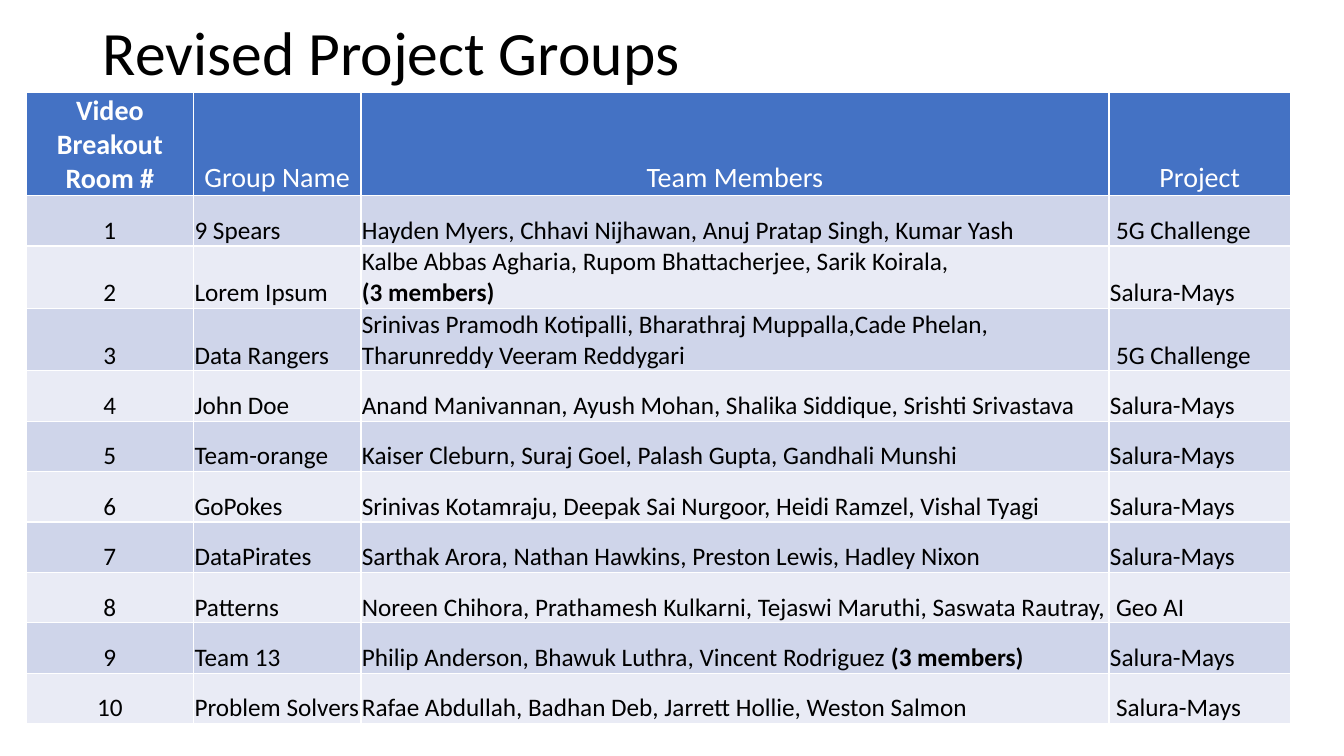
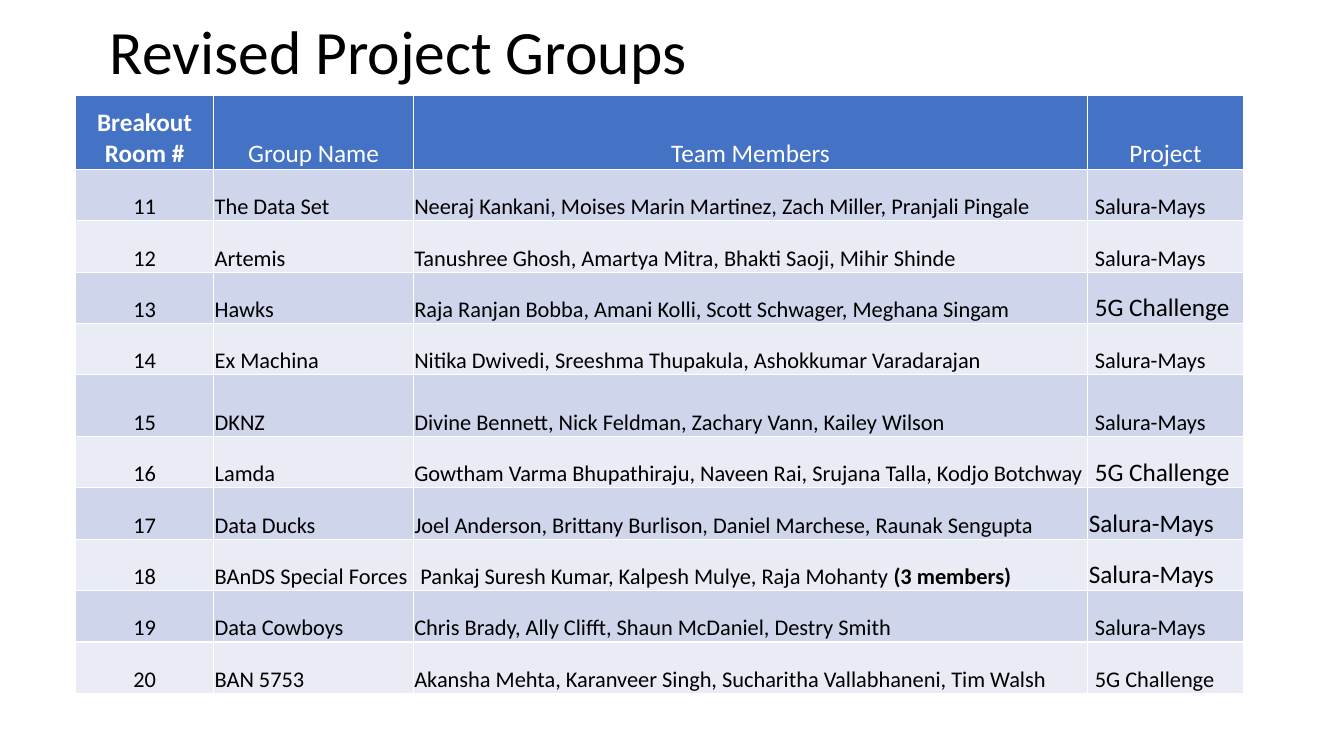
"""Build two slides that list the revised project groups in tables."""
from dataclasses import dataclass

from pptx import Presentation
from pptx.dml.color import RGBColor
from pptx.enum.text import MSO_ANCHOR, PP_ALIGN
from pptx.util import Inches, Pt


@dataclass(frozen=True)
class Theme:
    font: str = "Calibri"
    ink: str = "000000"
    header_ink: str = "FFFFFF"
    header_fill: str = "4472C4"
    bands: tuple = ("CFD5EA", "E9EBF5")
    title_size: int = 44
    large_size: int = 18
    margin: float = 0.01
    indent: float = 0.07


THEME = Theme()
TITLE = "Revised Project Groups"
HEADINGS = ["Group Name", "Team Members", "Project"]
NOTE = "(3 members)"
MAYS, FIVE_G, GEO = "Salura-Mays", "5G Challenge", "Geo AI"
MEMBERS_COL, PROJECT_COL = 2, 3

SLIDES = [
    dict(
        title_at=(0.92, 0, 11.5, 1.1),
        table_at=(0.26, 0.92),
        cols=[1.66, 1.66, 7.42, 1.8],
        header_height=1.02, row_height=0.5, tall_rows={2: 0.62, 3: 0.62},
        header_size=20, body_size=18,
        room_heading="Video Breakout Room #",
        first_room=1,
        indented={(room, PROJECT_COL) for room in (1, 3, 8, 10)},
        large_projects=set(),
        groups=[
            ("9 Spears", "Hayden Myers, Chhavi Nijhawan, Anuj Pratap Singh, Kumar Yash", FIVE_G),
            ("Lorem Ipsum", "Kalbe Abbas Agharia, Rupom Bhattacherjee, Sarik Koirala,\n(3 members)", MAYS),
            ("Data Rangers", "Srinivas Pramodh Kotipalli, Bharathraj Muppalla,Cade Phelan, "
                             "Tharunreddy Veeram Reddygari", FIVE_G),
            ("John Doe", "Anand Manivannan, Ayush Mohan, Shalika Siddique, Srishti Srivastava", MAYS),
            ("Team-orange", "Kaiser Cleburn, Suraj Goel, Palash Gupta, Gandhali Munshi", MAYS),
            ("GoPokes", "Srinivas Kotamraju, Deepak Sai Nurgoor, Heidi Ramzel, Vishal Tyagi", MAYS),
            ("DataPirates", "Sarthak Arora, Nathan Hawkins, Preston Lewis, Hadley Nixon", MAYS),
            ("Patterns", "Noreen Chihora, Prathamesh Kulkarni, Tejaswi Maruthi, Saswata Rautray,", GEO),
            ("Team 13", "Philip Anderson, Bhawuk Luthra, Vincent Rodriguez (3 members)", MAYS),
            ("Problem Solvers", "Rafae Abdullah, Badhan Deb, Jarrett Hollie, Weston Salmon", MAYS),
        ],
    ),
    dict(
        title_at=(0.99, 0, 11.5, 1.08),
        table_at=(0.75, 0.95),
        cols=[1.37, 1.98, 6.69, 1.54],
        header_height=0.73, row_height=0.51, tall_rows={15: 0.61},
        header_size=18, body_size=16,
        room_heading="Breakout\nRoom #",
        first_room=11,
        indented={(room, PROJECT_COL) for room in (11, 12, 13, 14, 15, 16, 19, 20)} | {(18, MEMBERS_COL)},
        large_projects={13, 16, 17, 18},
        groups=[
            ("The Data Set", "Neeraj Kankani, Moises Marin Martinez, Zach Miller, Pranjali Pingale", MAYS),
            ("Artemis", "Tanushree Ghosh, Amartya Mitra, Bhakti Saoji, Mihir Shinde", MAYS),
            ("Hawks", "Raja Ranjan Bobba, Amani Kolli, Scott Schwager, Meghana Singam", FIVE_G),
            ("Ex Machina", "Nitika Dwivedi, Sreeshma Thupakula, Ashokkumar Varadarajan", MAYS),
            ("DKNZ", "Divine Bennett, Nick Feldman, Zachary Vann, Kailey Wilson", MAYS),
            ("Lamda", "Gowtham Varma Bhupathiraju, Naveen Rai, Srujana Talla, Kodjo Botchway", FIVE_G),
            ("Data Ducks", "Joel Anderson, Brittany Burlison, Daniel Marchese, Raunak Sengupta", MAYS),
            ("BAnDS Special Forces", "Pankaj Suresh Kumar, Kalpesh Mulye, Raja Mohanty (3 members)", MAYS),
            ("Data Cowboys", "Chris Brady, Ally Clifft, Shaun McDaniel, Destry Smith", MAYS),
            ("BAN 5753", "Akansha Mehta, Karanveer Singh, Sucharitha Vallabhaneni, Tim Walsh", FIVE_G),
        ],
    ),
]


def write(tf, text, *, size, color=THEME.ink, bold=False, align=PP_ALIGN.LEFT, spacing=None):
    """Write one paragraph per line, with the member note in bold."""
    for i, line in enumerate(text.split("\n")):
        p = tf.add_paragraph() if i else tf.paragraphs[0]
        p.alignment = align
        if spacing:
            p.line_spacing = spacing
        before, note, _ = line.partition(NOTE)
        for part in filter(None, (before, note)):
            r = p.add_run()
            r.text = part
            r.font.name = THEME.font
            r.font.size = Pt(size)
            r.font.bold = bold or part == NOTE
            r.font.color.rgb = RGBColor.from_string(color)


def fill_cell(cell, text, fill, indented=False, **style):
    """Fill one table cell and write its text at the bottom."""
    cell.margin_left = Inches(THEME.indent if indented else THEME.margin)
    cell.margin_right = cell.margin_top = Inches(THEME.margin)
    cell.margin_bottom = 0
    cell.vertical_anchor = MSO_ANCHOR.BOTTOM
    cell.fill.solid()
    cell.fill.fore_color.rgb = RGBColor.from_string(fill)
    write(cell.text_frame, text, **style)


def add_title(s, at):
    """Add the title shared by the slides."""
    tf = s.shapes.add_textbox(*map(Inches, at)).text_frame
    tf.word_wrap = True
    tf.vertical_anchor = MSO_ANCHOR.MIDDLE
    write(tf, TITLE, size=THEME.title_size, spacing=0.9)


def add_groups(s, d):
    """Add the table of groups, one room per row."""
    rooms = range(d["first_room"], d["first_room"] + len(d["groups"]))
    heights = [d["header_height"]] + [d["tall_rows"].get(n, d["row_height"]) for n in rooms]
    table = s.shapes.add_table(
        len(heights), len(d["cols"]), *map(Inches, (*d["table_at"], sum(d["cols"]), sum(heights)))).table
    for col, width in zip(table.columns, d["cols"]):
        col.width = Inches(width)
    for row, height in zip(table.rows, heights):
        row.height = Inches(height)

    for c, text in enumerate([d["room_heading"], *HEADINGS]):
        fill_cell(table.cell(0, c), text, THEME.header_fill, size=d["header_size"],
                  color=THEME.header_ink, bold=c == 0, align=PP_ALIGN.CENTER)
    for i, (room, group) in enumerate(zip(rooms, d["groups"])):
        for c, text in enumerate([str(room), *group]):
            large = c == PROJECT_COL and room in d["large_projects"]
            fill_cell(table.cell(i + 1, c), text, THEME.bands[i % 2],
                      indented=(room, c) in d["indented"],
                      size=THEME.large_size if large else d["body_size"],
                      align=PP_ALIGN.LEFT if c else PP_ALIGN.CENTER)


def main():
    """Build and save the presentation."""
    prs = Presentation()
    prs.slide_width, prs.slide_height = Inches(13.33), Inches(7.5)
    for d in SLIDES:
        s = prs.slides.add_slide(prs.slide_layouts[6])
        add_title(s, d["title_at"])
        add_groups(s, d)
    prs.save("out.pptx")


if __name__ == "__main__":
    main()
